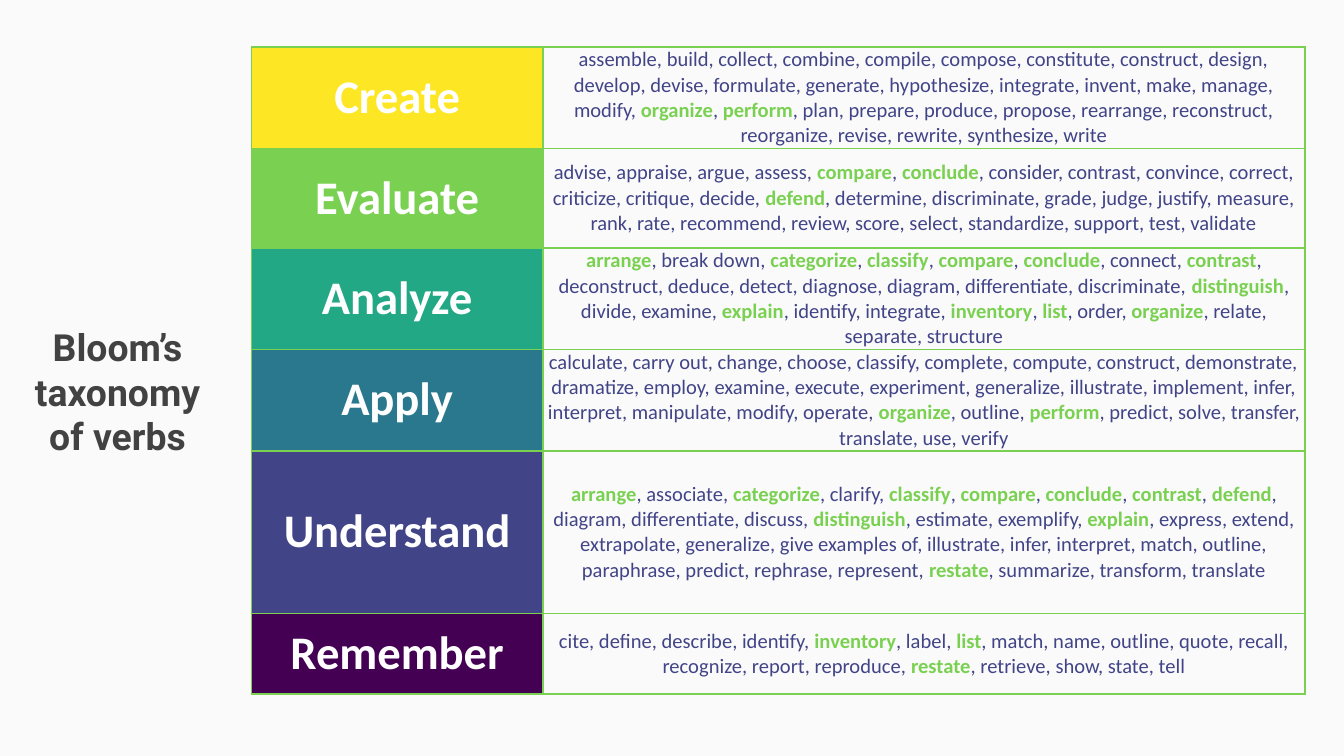
"""Builds a slide with a table of Bloom's taxonomy of verbs."""
from dataclasses import dataclass

from lxml import etree
from pptx import Presentation
from pptx import util as u
from pptx.dml.color import RGBColor
from pptx.enum import text
from pptx.oxml.ns import qn
from pptx.slide import Slide

PAPER = RGBColor(0xFA, 0xFA, 0xFA)
WHITE = RGBColor(0xFF, 0xFF, 0xFF)
GRAY = RGBColor(0x42, 0x42, 0x42)
YELLOW = RGBColor(0xFD, 0xE7, 0x25)
GREEN = RGBColor(0x7A, 0xD1, 0x51)
TEAL = RGBColor(0x22, 0xA8, 0x84)
BLUE = RGBColor(0x2A, 0x78, 0x8E)
INDIGO = RGBColor(0x41, 0x44, 0x87)
PURPLE = RGBColor(0x44, 0x01, 0x54)

COLUMN_WIDTHS = (2.17, 5.67)
LEVELS = (
    ("Create", YELLOW, 0.74,
     "assemble, build, collect, combine, compile, compose, constitute, construct, "
     "design, develop, devise, formulate, generate, hypothesize, integrate, invent, "
     "make, manage, modify, *organize*, *perform*, plan, prepare, produce, propose, "
     "rearrange, reconstruct, reorganize, revise, rewrite, synthesize, write"),
    ("Evaluate", GREEN, 0.74,
     "advise, appraise, argue, assess, *compare*, *conclude*, consider, contrast, "
     "convince, correct, criticize, critique, decide, *defend*, determine, "
     "discriminate, grade, judge, justify, measure, rank, rate, recommend, review, "
     "score, select, standardize, support, test, validate"),
    ("Analyze", TEAL, 0.74,
     "*arrange*, break down, *categorize*, *classify*, *compare*, *conclude*, connect, "
     "*contrast*, deconstruct, deduce, detect, diagnose, diagram, differentiate, "
     "discriminate, *distinguish*, divide, examine, *explain*, identify, integrate, "
     "*inventory*, *list*, order, *organize*, relate, separate, structure"),
    ("Apply", BLUE, 0.74,
     "calculate, carry out, change, choose, classify, complete, compute, construct, "
     "demonstrate, dramatize, employ, examine, execute, experiment, generalize, "
     "illustrate, implement, infer, interpret, manipulate, modify, operate, "
     "*organize*, outline, *perform*, predict, solve, transfer, translate, use, verify"),
    ("Understand", INDIGO, 1.21,
     "*arrange*, associate, *categorize*, clarify, *classify*, *compare*, *conclude*, "
     "*contrast*, *defend*, diagram, differentiate, discuss, *distinguish*, estimate, "
     "exemplify, *explain*, express, extend, extrapolate, generalize, give examples of, "
     "illustrate, infer, interpret, match, outline, paraphrase, predict, rephrase, "
     "represent, *restate*, summarize, transform, translate"),
    ("Remember", PURPLE, 0.6,
     "cite, define, describe, identify, *inventory*, label, *list*, match, name, "
     "outline, quote, recall, recognize, report, reproduce, *restate*, retrieve, show, "
     "state, tell"),
)


@dataclass
class TaxonomySlide:
    """Holds the slide and its style, and adds each kind of element."""

    slide: Slide
    title_font: str = "Roboto"
    table_font: str = "Calibri"

    def style(self, run, font, size, color, bold):
        run.font.name = font
        run.font.size = u.Pt(size)
        run.font.bold = bold
        run.font.color.rgb = color

    def background(self, color):
        fill = self.slide.background.fill
        fill.solid()
        fill.fore_color.rgb = color

    def title(self, wording, left, top, width, height):
        heading = self.slide.shapes.add_textbox(*map(u.Inches, (left, top, width, height)))
        frame = heading.text_frame
        frame.word_wrap = True
        frame.vertical_anchor = text.MSO_ANCHOR.TOP
        frame.margin_left = frame.margin_right = u.Inches(0.07)
        frame.margin_top = frame.margin_bottom = u.Inches(0.07)
        frame.text = wording
        paragraph = frame.paragraphs[0]
        paragraph.alignment = text.PP_ALIGN.CENTER
        self.style(paragraph.runs[0], self.title_font, 20, GRAY, True)

    def borders(self, cell, color):
        properties = cell._tc.get_or_add_tcPr()
        for position, side in enumerate(("a:lnL", "a:lnR", "a:lnT", "a:lnB")):
            line = etree.Element(qn(side), w=str(u.Pt(1)))
            solid = etree.SubElement(line, qn("a:solidFill"))
            etree.SubElement(solid, qn("a:srgbClr"), val=str(color))
            properties.insert(position, line)

    def cell(self, cell, wording, size, color, bold, fill=None):
        cell.margin_left = cell.margin_right = cell.margin_top = cell.margin_bottom = 0
        cell.vertical_anchor = text.MSO_ANCHOR.MIDDLE
        if fill is None:
            cell.fill.background()
        else:
            cell.fill.solid()
            cell.fill.fore_color.rgb = fill
        paragraph = cell.text_frame.paragraphs[0]
        paragraph.alignment = text.PP_ALIGN.CENTER
        for index, part in enumerate(wording.split("*")):
            if part:
                run = paragraph.add_run()
                run.text = part
                marked = index % 2 == 1
                self.style(run, self.table_font, size, GREEN if marked else color, bold or marked)
        self.borders(cell, GREEN)

    def table(self, levels, left, top):
        width = sum(COLUMN_WIDTHS)
        height = sum(level[2] for level in levels)
        table = self.slide.shapes.add_table(
            len(levels), len(COLUMN_WIDTHS), *map(u.Inches, (left, top, width, height))).table
        table.first_row = table.horz_banding = False
        for column, column_width in zip(table.columns, COLUMN_WIDTHS):
            column.width = u.Inches(column_width)
        for row, (level, color, row_height, verbs) in zip(table.rows, levels):
            row.height = u.Inches(row_height)
            self.cell(row.cells[0], level, 25, WHITE, True, color)
            self.cell(row.cells[1], verbs, 11, INDIGO, False)


def main():
    deck = Presentation()
    deck.slide_width = u.Inches(10)
    deck.slide_height = deck.slide_width * 9 // 16
    taxonomy = TaxonomySlide(deck.slides.add_slide(deck.slide_layouts[6]))
    taxonomy.background(PAPER)
    taxonomy.table(LEVELS, 1.87, 0.35)
    taxonomy.title("Bloom’s taxonomy of verbs", 0.15, 2.34, 1.45, 1.25)
    deck.save("out.pptx")


if __name__ == "__main__":
    main()
